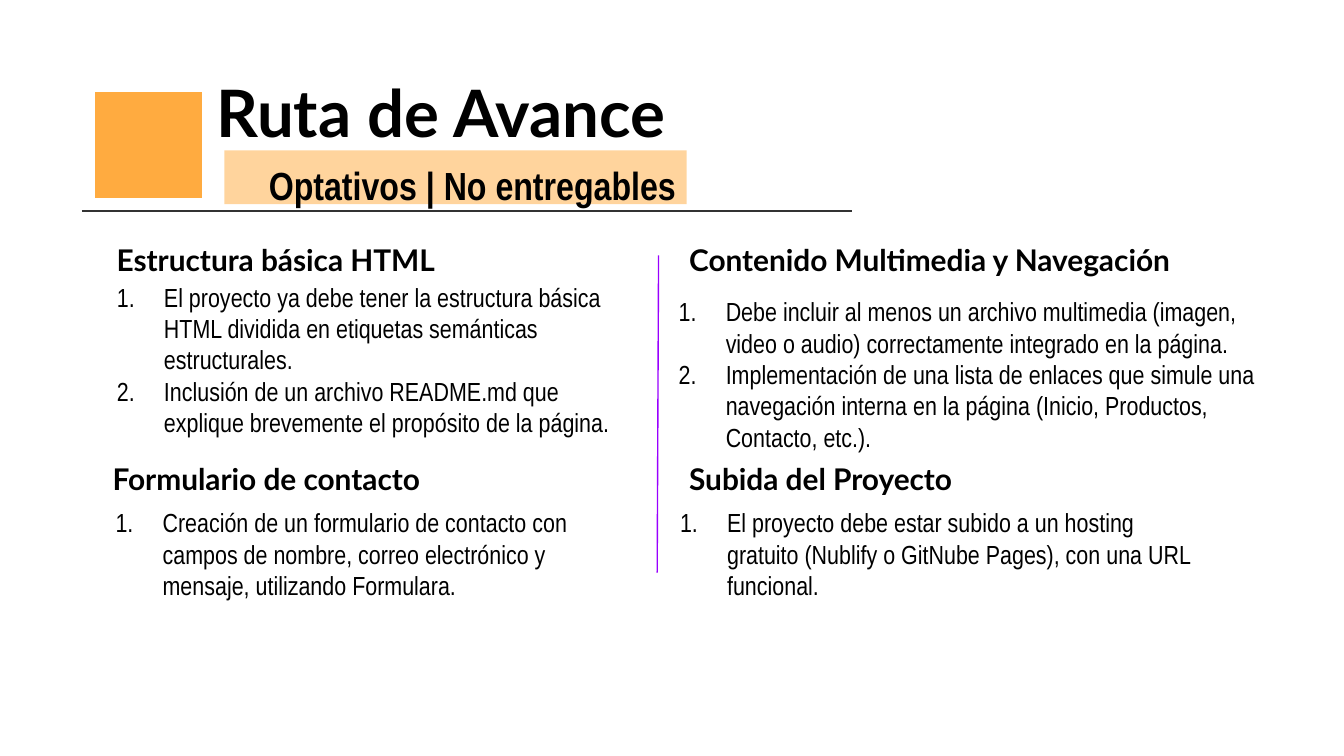
from lxml import etree
from pptx import Presentation
from pptx.dml import color
from pptx.enum import shapes, text
from pptx.oxml import ns
from pptx.util import Inches, Pt

HEADING_FONT = "Lato"
BODY_FONT = "Arial Narrow"
BLACK = "000000"
WHITE = "FFFFFF"
ORANGE = "FFAB40"
PURPLE = "9900FF"
DARK = "333333"

SECTIONS = [
    ("Estructura básica HTML", (0.77, 1.7, 3.76), (0.62, 1.99, 4.2), [
        "El proyecto ya debe tener la estructura básica HTML dividida en "
        "etiquetas semánticas estructurales.",
        "Inclusión de un archivo README.md que explique brevemente el "
        "propósito de la página.",
    ]),
    ("Contenido Multimedia y Navegación", (5.03, 1.7, 4.58), (4.8, 2.1, 4.81), [
        "Debe incluir al menos un archivo multimedia (imagen, video o audio) "
        "correctamente integrado en la página.",
        "Implementación de una lista de enlaces que simule una navegación "
        "interna en la página (Inicio, Productos, Contacto, etc.).",
    ]),
    ("Formulario de contacto", (0.74, 3.33, 3.76), (0.61, 3.67, 4.2), [
        "Creación de un formulario de contacto con campos de nombre, correo "
        "electrónico y mensaje, utilizando Formulara.",
    ]),
    ("Subida del Proyecto", (5.03, 3.33, 3.76), (4.81, 3.67, 4.2), [
        "El proyecto debe estar subido a un hosting gratuito "
        "(Nublify o GitNube Pages), con una URL funcional.",
    ]),
]


def rgb(value):
    return color.RGBColor.from_string(value)


def place(shape, left, top, width, height):
    shape.left, shape.top = Inches(left), Inches(top)
    shape.width, shape.height = Inches(width), Inches(height)


def prepare_frame(shape, inset=0.1):
    frame = shape.text_frame
    frame.word_wrap = True
    frame.auto_size = text.MSO_AUTO_SIZE.NONE
    frame.vertical_anchor = text.MSO_ANCHOR.TOP
    frame.margin_left = frame.margin_right = Inches(inset)
    frame.margin_top = frame.margin_bottom = Inches(inset)
    return frame


def add_run(paragraph, words, font_name, size, bold):
    paragraph.alignment = text.PP_ALIGN.LEFT
    paragraph.space_before = Pt(0)
    run = paragraph.add_run()
    run.text = words
    run.font.name = font_name
    run.font.size = Pt(size)
    run.font.bold = bold
    run.font.color.rgb = rgb(BLACK)


def number_paragraph(paragraph):
    properties = paragraph._p.get_or_add_pPr()
    properties.set("marL", str(Inches(0.5)))
    properties.set("indent", str(Inches(-0.35)))
    bullet_color = etree.SubElement(properties, ns.qn("a:buClr"))
    etree.SubElement(bullet_color, ns.qn("a:srgbClr"), val=BLACK)
    etree.SubElement(properties, ns.qn("a:buFont"), typeface=BODY_FONT)
    etree.SubElement(properties, ns.qn("a:buAutoNum"), type="arabicPeriod")


def fill_title(slide, words):
    title = slide.shapes.title
    place(title, 1.51, 0.44, 4.47, 0.81)
    add_run(prepare_frame(title).paragraphs[0], words, HEADING_FONT, 35, True)


def fill_list(placeholder, position, items):
    place(placeholder, *position, 1.49)
    frame = prepare_frame(placeholder)
    for index, item in enumerate(items):
        paragraph = frame.add_paragraph() if index else frame.paragraphs[0]
        number_paragraph(paragraph)
        add_run(paragraph, item, BODY_FONT, 14, False)


def add_label(slide, box, words, font_name, size, inset=0.1, spacing=1.0):
    label = slide.shapes.add_textbox(*map(Inches, box))
    paragraph = prepare_frame(label, inset).paragraphs[0]
    paragraph.line_spacing = spacing
    add_run(paragraph, words, font_name, size, True)


def add_block(slide, box, outline=None, opacity=None):
    block = slide.shapes.add_shape(shapes.MSO_SHAPE.RECTANGLE, *map(Inches, box))
    block.shadow.inherit = False
    block.fill.solid()
    block.fill.fore_color.rgb = rgb(ORANGE)
    if outline:
        block.line.color.rgb = rgb(outline)
        block.line.width = Pt(0.75)
    else:
        block.line.fill.background()
    if opacity:
        fill_color = block._element.spPr.find(ns.qn("a:solidFill"))[0]
        etree.SubElement(fill_color, ns.qn("a:alpha"), val=str(opacity * 1000))


def add_rule(slide, ends, line_color):
    rule = slide.shapes.add_connector(shapes.MSO_CONNECTOR.STRAIGHT, *map(Inches, ends))
    rule.line.color.rgb = rgb(line_color)
    rule.line.width = Pt(0.75)
    etree.SubElement(rule._element.spPr, ns.qn("a:effectLst"))


def main():
    presentation = Presentation()
    presentation.slide_width = Inches(10)
    presentation.slide_height = presentation.slide_width * 9 // 16
    comparison_layout = presentation.slide_layouts[4]
    slide = presentation.slides.add_slide(comparison_layout)
    slide.background.fill.solid()
    slide.background.fill.fore_color.rgb = rgb(WHITE)

    fill_title(slide, "Ruta de Avance")
    add_rule(slide, (0.61, 1.57, 6.34, 1.57), DARK)
    add_block(slide, (0.7, 0.68, 0.81, 0.8), outline=WHITE)
    add_block(slide, (1.67, 1.12, 3.44, 0.4), opacity=51)
    add_label(slide, (2, 1.13, 3.11, 0.35), "Optativos | No entregables",
              BODY_FONT, 21, inset=0, spacing=1.2)

    list_placeholders = list(slide.placeholders)[1:]
    for placeholder, section in zip(list_placeholders, SECTIONS):
        heading, heading_position, list_position, items = section
        add_label(slide, (*heading_position, 0.4), heading, HEADING_FONT, 16)
        fill_list(placeholder, list_position, items)

    add_rule(slide, (4.9, 1.9, 4.89, 4.26), PURPLE)
    presentation.save("out.pptx")


if __name__ == "__main__":
    main()
